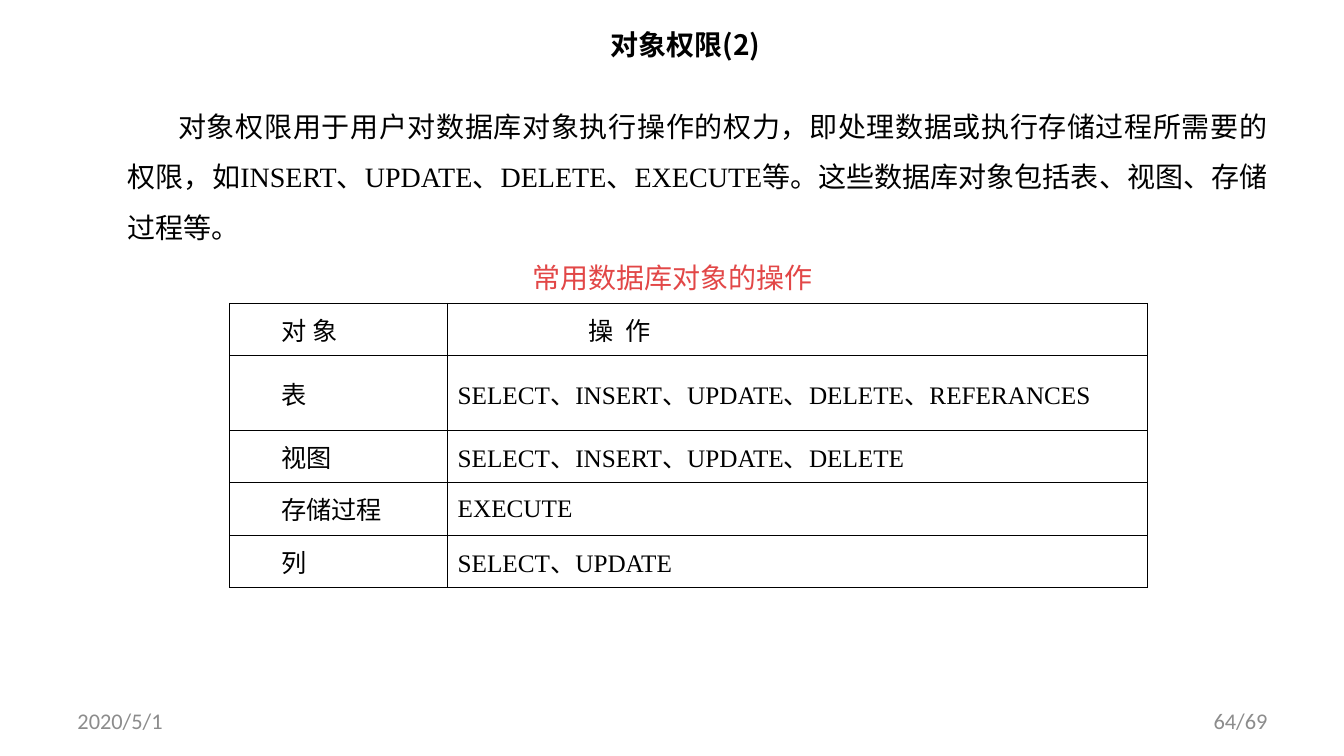
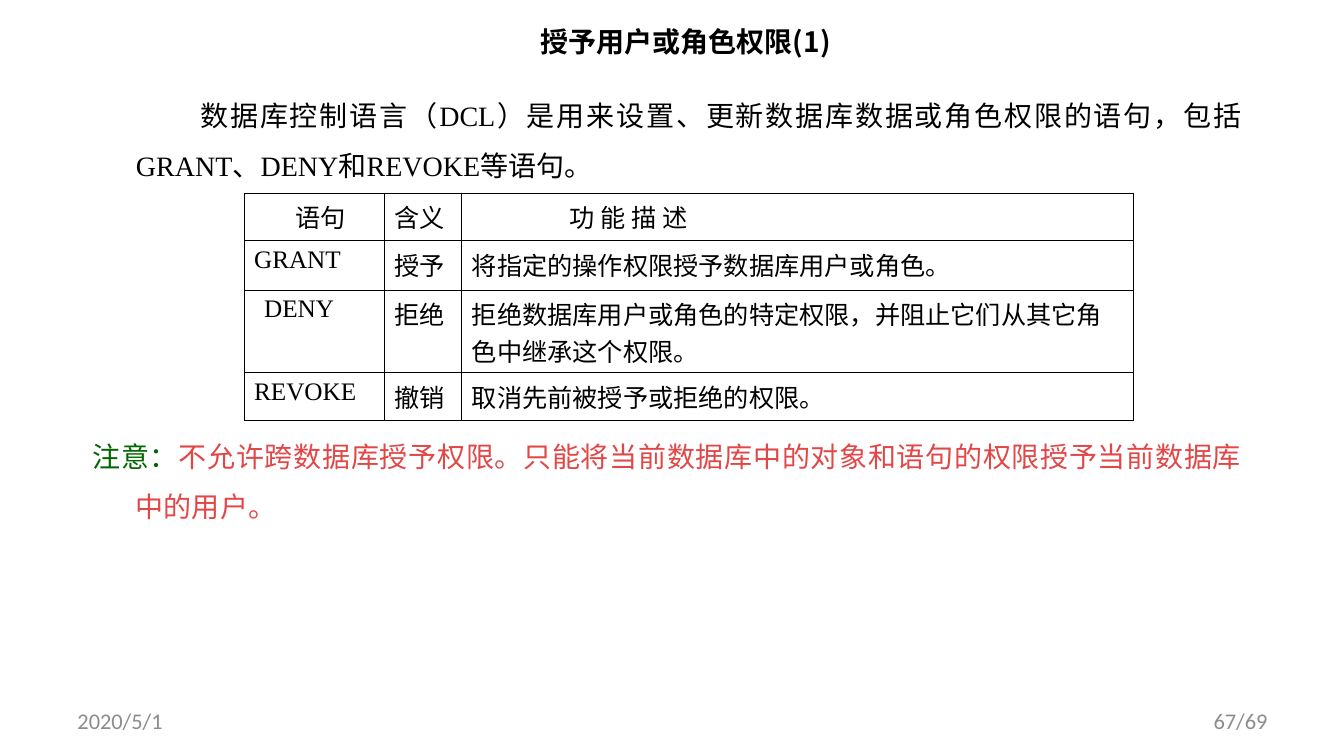
from dataclasses import dataclass
from typing import Any

import lxml.etree
import pptx
import pptx.dml.color
import pptx.enum.lang
import pptx.enum.text
import pptx.oxml.ns
import pptx.util

Inches = pptx.util.Inches
Pt = pptx.util.Pt
qn = pptx.oxml.ns.qn
Align = pptx.enum.text.PP_ALIGN
Anchor = pptx.enum.text.MSO_ANCHOR


@dataclass(frozen=True)
class Theme:
    ink: str = "000000"
    accent: str = "E24747"
    notice: str = "006600"
    muted: str = "8C8C8C"
    serif: str = "Times New Roman"
    sans: str = "Noto Sans CJK SC"
    footer_font: str = "Calibri"
    title_size: float = 20
    body_size: float = 20
    table_size: float = 18
    footer_size: float = 16
    rule: float = 0.75
    strong_rule: float = 1


THEME = Theme()


@dataclass(frozen=True)
class Box:
    left: float
    top: float
    width: float
    height: float

    def lengths(self) -> tuple[int, ...]:
        return tuple(Inches(v) for v in (self.left, self.top, self.width, self.height))


@dataclass(frozen=True)
class Span:
    text: str
    size: float = THEME.body_size
    color: str = THEME.ink
    font: str = THEME.serif
    bold: bool = False
    spacing: float = 0


@dataclass(frozen=True)
class Para:
    spans: tuple[Span, ...]
    margin: float = 0
    indent: float = 0
    align: Any = Align.LEFT
    line_spacing: float | None = None


@dataclass(frozen=True)
class TextBlock:
    box: Box
    paras: tuple[Para, ...]
    anchor: Any = Anchor.TOP


@dataclass(frozen=True)
class Cell:
    text: str
    indent: float = 0
    spacing: float = 0


@dataclass(frozen=True)
class Grid:
    left: float
    top: float
    columns: tuple[float, ...]
    rows: tuple[float, ...]
    cells: tuple[tuple[Cell, ...], ...]
    anchor: Any


@dataclass(frozen=True)
class Page:
    title: str
    title_top: float
    number: str
    texts: tuple[TextBlock, ...]
    grid: Grid


def apply_format(target: Any, values: dict[str, Any]) -> None:
    for name, value in values.items():
        setattr(target, name, value)


def write_span(paragraph: Any, span: Span) -> None:
    run = paragraph.add_run()
    run.text = span.text
    apply_format(run.font, {
        "name": span.font,
        "size": Pt(span.size),
        "bold": span.bold,
        "language_id": pptx.enum.lang.MSO_LANGUAGE_ID.SIMPLIFIED_CHINESE,
    })
    run.font.color.rgb = pptx.dml.color.RGBColor.from_string(span.color)
    properties = run.font._element
    lxml.etree.SubElement(properties, qn("a:ea")).set("typeface", THEME.sans)
    if span.spacing:
        properties.set("spc", str(round(span.spacing * 100)))


def write_paras(frame: Any, paras: tuple[Para, ...], anchor: Any) -> None:
    apply_format(frame, {"word_wrap": True, "vertical_anchor": anchor})
    for index, para in enumerate(paras):
        paragraph = frame.add_paragraph() if index else frame.paragraphs[0]
        apply_format(paragraph, {
            "alignment": para.align,
            "line_spacing": para.line_spacing,
            "space_before": Pt(0),
        })
        properties = paragraph._p.get_or_add_pPr()
        properties.set("marL", str(Inches(para.margin)))
        properties.set("indent", str(Inches(para.indent)))
        for span in para.spans:
            write_span(paragraph, span)


def draw_text(slide: Any, block: TextBlock) -> None:
    frame = slide.shapes.add_textbox(*block.box.lengths()).text_frame
    write_paras(frame, block.paras, block.anchor)


def draw_title(slide: Any, text: str, top: float) -> None:
    title = slide.shapes.title
    edges = Box(2.57, top, 8.52, 0.87).lengths()
    apply_format(title, dict(zip(("left", "top", "width", "height"), edges)))
    span = Span(text, THEME.title_size, font=THEME.sans, bold=True)
    write_paras(title.text_frame, (Para((span,), align=Align.CENTER),), Anchor.MIDDLE)


def draw_footer(slide: Any, number: str) -> None:
    for left, text, align in ((0.67, "2020/5/1", Align.LEFT), (9.56, number, Align.RIGHT)):
        span = Span(text, THEME.footer_size, THEME.muted, THEME.footer_font)
        draw_text(slide, TextBlock(Box(left, 6.95, 3.11, 0.4),
                                   (Para((span,), align=align),), Anchor.MIDDLE))


def rule_cell(cell: Any, top: float, bottom: float) -> None:
    properties = cell._tc.get_or_add_tcPr()
    widths = {"a:lnL": THEME.rule, "a:lnR": THEME.rule, "a:lnT": top, "a:lnB": bottom}
    for position, (tag, width) in enumerate(widths.items()):
        line = lxml.etree.Element(qn(tag), w=str(Pt(width)))
        fill = lxml.etree.SubElement(line, qn("a:solidFill"))
        lxml.etree.SubElement(fill, qn("a:srgbClr")).set("val", THEME.ink)
        properties.insert(position, line)


def draw_grid(slide: Any, grid: Grid) -> None:
    box = Box(grid.left, grid.top, sum(grid.columns), sum(grid.rows))
    table = slide.shapes.add_table(len(grid.rows), len(grid.columns), *box.lengths()).table
    apply_format(table, {"first_row": False, "horz_banding": False})
    for column, width in zip(table.columns, grid.columns):
        column.width = Inches(width)
    for row, height in zip(table.rows, grid.rows):
        row.height = Inches(height)
    last = len(grid.rows) - 1
    for r, row_cells in enumerate(grid.cells):
        top = THEME.strong_rule if r in (0, 1) else THEME.rule
        bottom = THEME.strong_rule if r in (0, last) else THEME.rule
        for c, content in enumerate(row_cells):
            cell = table.cell(r, c)
            cell.fill.background()
            rule_cell(cell, top, bottom)
            span = Span(content.text, THEME.table_size, spacing=content.spacing)
            write_paras(cell.text_frame, (Para((span,), indent=content.indent),), grid.anchor)
            cell.vertical_anchor = grid.anchor


def draw_page(deck: Any, page: Page) -> None:
    slide = deck.slides.add_slide(deck.slide_layouts.get_by_name("Title Only"))
    draw_title(slide, page.title, page.title_top)
    for block in page.texts:
        draw_text(slide, block)
    draw_grid(slide, page.grid)
    draw_footer(slide, page.number)


def body_para(text: str, indent: float) -> Para:
    return Para((Span(text),), 0.5, indent, Align.JUSTIFY, 1.5)


OBJECT_PERMISSIONS = Page(
    title="对象权限(2) ",
    title_top=0,
    number="64/69",
    texts=(TextBlock(Box(0.67, 0.87, 12, 2.1), (
        body_para("对象权限用于用户对数据库对象执行操作的权力，即处理数据或执行存储过程所需要的权限，"
                  "如INSERT、UPDATE、DELETE、EXECUTE等。这些数据库对象包括表、视图、存储过程等。", 0.5),
        Para((Span("常用数据库对象的操作", color=THEME.accent),),
             align=Align.CENTER, line_spacing=1.5),
    )),),
    grid=Grid(
        2.28, 3.01, (2.16, 6.94), (0.52, 0.74, 0.52, 0.52, 0.52),
        (
            (Cell("对 象", 0.41), Cell("操 作", 1.3, 2)),
            (Cell("表", 0.41), Cell("SELECT、INSERT、UPDATE、DELETE、REFERANCES")),
            (Cell("视图", 0.41), Cell("SELECT、INSERT、UPDATE、DELETE")),
            (Cell("存储过程", 0.41), Cell("EXECUTE")),
            (Cell("列", 0.41), Cell("SELECT、UPDATE")),
        ),
        Anchor.MIDDLE,
    ),
)

GRANTING = Page(
    title="授予用户或角色权限(1) ",
    title_top=-0.03,
    number="67/69",
    texts=(
        TextBlock(Box(0.75, 0.76, 11.66, 1.1), (
            body_para("数据库控制语言（DCL）是用来设置、更新数据库数据或角色权限的语句，"
                      "包括GRANT、DENY和REVOKE等语句。", 0.64),
        )),
        TextBlock(Box(0.75, 4.14, 11.66, 1.1), (
            Para((
                Span("注意：", color=THEME.notice),
                Span("不允许跨数据库授予权限。只能将当前数据库中的对象和语句的权限授予当前数据库中的用户。",
                     color=THEME.accent),
            ), 0.5, -0.43, Align.JUSTIFY, 1.5),
        )),
    ),
    grid=Grid(
        2.42, 1.92, (1.39, 0.77, 6.66), (0.47, 0.49, 0.82, 0.47),
        (
            (Cell("语句", 0.41), Cell("含义"), Cell("功 能 描 述", 0.97)),
            (Cell("GRANT"), Cell("授予"), Cell("将指定的操作权限授予数据库用户或角色。")),
            (Cell("DENY", 0.1), Cell("拒绝"),
             Cell("拒绝数据库用户或角色的特定权限，并阻止它们从其它角色中继承这个权限。")),
            (Cell("REVOKE"), Cell("撤销"), Cell("取消先前被授予或拒绝的权限。")),
        ),
        Anchor.TOP,
    ),
)


def main() -> None:
    deck = pptx.Presentation()
    apply_format(deck, {"slide_width": Inches(13.33), "slide_height": Inches(7.5)})
    for page in (OBJECT_PERMISSIONS, GRANTING):
        draw_page(deck, page)
    deck.save("out.pptx")


if __name__ == "__main__":
    main()
